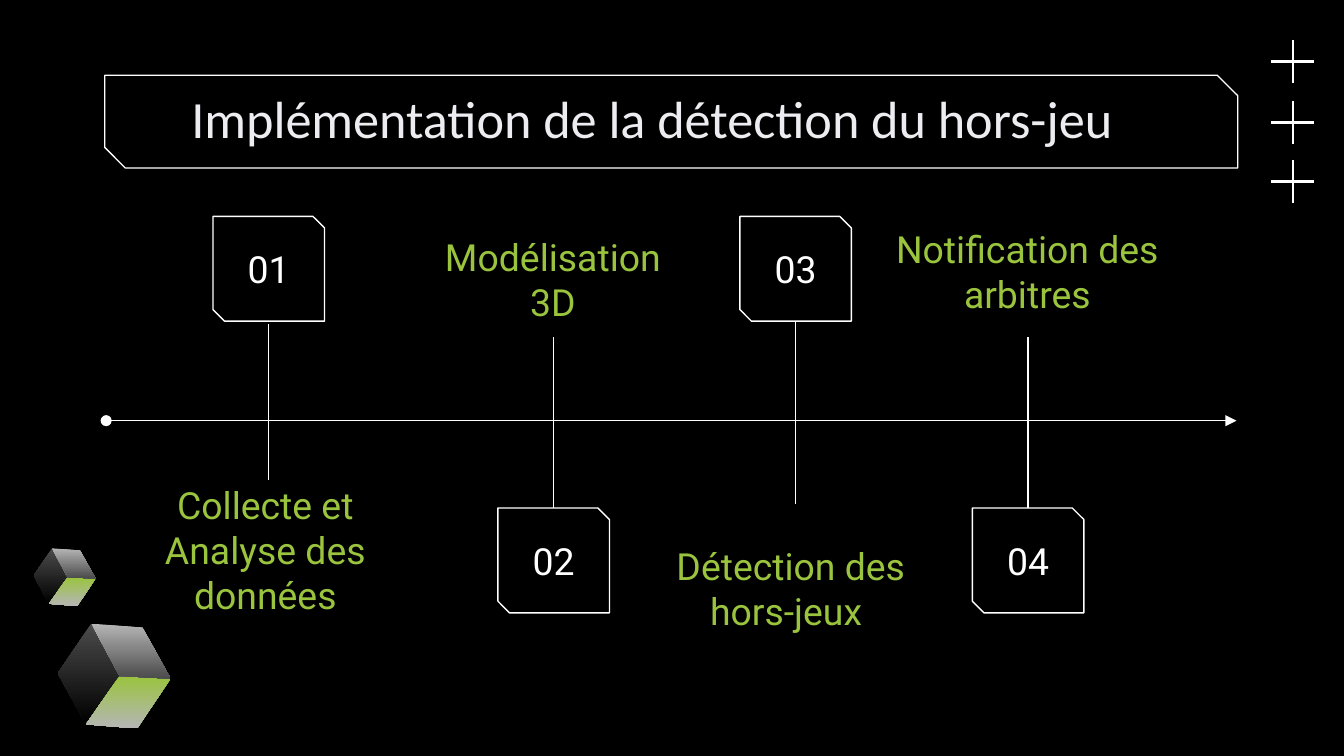
import pptx
import pptx.util
import pptx.dml.color
import pptx.enum.shapes
import pptx.enum.text
import pptx.oxml.ns
import lxml.etree

Inches = pptx.util.Inches
Pt = pptx.util.Pt
RGBColor = pptx.dml.color.RGBColor
Shape = pptx.enum.shapes.MSO_SHAPE
Align = pptx.enum.text.PP_ALIGN
Anchor = pptx.enum.text.MSO_ANCHOR

BLACK = RGBColor(0x00, 0x00, 0x00)
WHITE = RGBColor(0xFF, 0xFF, 0xFF)
PALE = RGBColor(0xEC, 0xEC, 0xF1)
GREEN = RGBColor(0x9A, 0xC4, 0x3E)
SILVER = RGBColor(0xB5, 0xB5, 0xB5)
CHARCOAL = RGBColor(0x4B, 0x4B, 0x4B)

TILE_WIDTH, TILE_HEIGHT = 0.83, 0.78
UPPER_ROW, LOWER_ROW = 1.61, 3.78
LABEL_WIDTH = 2.17
AXIS = 3.13

# number, column centre, tile row, line top and bottom, label, label left, top, height
STEPS = [
    ("01", 2.0, UPPER_ROW, 2.41, 3.57, "Collecte et Analyse des données", 0.89, 3.91, 0.78),
    ("02", 4.12, LOWER_ROW, 2.51, 3.78, "Modélisation 3D", 3.03, 2.08, 0.43),
    ("03", 5.92, UPPER_ROW, 2.39, 3.75, "Détection des hors-jeux ", 4.8, 4.38, 0.43),
    ("04", 7.65, LOWER_ROW, 2.51, 3.78, "Notification des arbitres", 6.56, 2.02, 0.43),
]

# Cube faces: corner offsets in inches at full scale, colours from top to bottom
CUBE_FACES = [
    ([(0.25, 0), (0, 0.37), (0.21, 0.75), (0.46, 0.39)], CHARCOAL, BLACK),
    ([(0.46, 0.39), (0.84, 0.41), (0.59, 0.78), (0.21, 0.75)], GREEN, SILVER),
    ([(0.25, 0), (0.63, 0.03), (0.84, 0.41), (0.46, 0.39)], SILVER, CHARCOAL),
]


def write_text(box, text, size, font, colour, anchor):
    frame = box.text_frame
    frame.word_wrap = True
    frame.auto_size = pptx.enum.text.MSO_AUTO_SIZE.NONE
    frame.vertical_anchor = anchor
    frame.margin_left = frame.margin_right = Inches(0.1)
    frame.margin_top = frame.margin_bottom = Inches(0.1)
    para = frame.paragraphs[0]
    para.alignment = Align.CENTER
    span = para.add_run()
    span.text = text
    span.font.size = Pt(size)
    span.font.name = font
    span.font.color.rgb = colour
    return para


def add_frame(page, left, top, width, height, snip):
    """Outlined box with two opposite corners cut."""
    frame = page.shapes.add_shape(
        Shape.SNIP_2_DIAG_RECTANGLE, Inches(left), Inches(top), Inches(width), Inches(height))
    frame.adjustments[0] = 0
    frame.adjustments[1] = snip
    frame.shadow.inherit = False
    frame.fill.background()
    frame.line.color.rgb = WHITE
    frame.line.width = Pt(0.75)
    return frame


def add_line(page, start, end, head=None, tail=None):
    line = page.shapes.add_connector(
        pptx.enum.shapes.MSO_CONNECTOR.STRAIGHT, *map(Inches, start + end))
    line.line.color.rgb = WHITE
    line.line.width = Pt(0.75)
    outline = line.line._get_or_add_ln()
    for tag, kind in (("a:headEnd", head), ("a:tailEnd", tail)):
        if kind:
            lxml.etree.SubElement(outline, pptx.oxml.ns.qn(tag), type=kind)
    lxml.etree.SubElement(line._element.spPr, pptx.oxml.ns.qn("a:effectLst"))


def add_title(page, text):
    add_frame(page, 0.78, 0.56, 8.43, 0.69, 0.221)
    title = page.shapes.title
    title.left, title.top, title.width, title.height = map(Inches, (0.6, 0.53, 8.5, 0.75))
    para = write_text(title, text, 28, "Calibri", PALE, Anchor.MIDDLE)
    para.line_spacing = 0.9


def add_polygon(group, left, top, corners, scale=1):
    points = [(Inches(left + x * scale), Inches(top + y * scale)) for x, y in corners]
    builder = group.shapes.build_freeform(*points[0])
    builder.add_line_segments(points[1:], close=True)
    polygon = builder.convert_to_shape()
    polygon.shadow.inherit = False
    polygon.line.fill.background()
    return polygon


def add_plus(group, left, top, arm=0.32, thickness=0.02):
    inset = (arm - thickness) / 2
    for x, y, width, height in ((0, inset, arm, thickness), (inset, 0, thickness, arm)):
        corners = [(0, 0), (0, height), (width, height), (width, 0)]
        bar = add_polygon(group, left + x, top + y, corners)
        bar.fill.solid()
        bar.fill.fore_color.rgb = WHITE


def add_cube(page, left, top, scale):
    group = page.shapes.add_group_shape()
    for corners, upper, lower in CUBE_FACES:
        face = add_polygon(group, left, top, corners, scale)
        face.fill.gradient()
        face.fill.gradient_angle = 270
        for stop, colour in zip(face.fill.gradient_stops, (upper, lower)):
            stop.color.rgb = colour


def add_step(page, number, centre, row, line_top, line_bottom, label, left, top, height):
    box = page.shapes.add_textbox(*map(Inches, (left, top, LABEL_WIDTH, height)))
    write_text(box, label, 20, "Roboto", GREEN, Anchor.BOTTOM)
    tile = add_frame(page, centre - TILE_WIDTH / 2, row, TILE_WIDTH, TILE_HEIGHT, 0.111)
    write_text(tile, number, 20, "Roboto", WHITE, Anchor.MIDDLE)
    add_line(page, (centre, line_bottom), (centre, line_top))


def main():
    deck = pptx.Presentation()
    deck.slide_width = Inches(10)
    deck.slide_height = deck.slide_width * 9 // 16
    page = deck.slides.add_slide(deck.slide_layouts.get_by_name("Title Only"))
    page.background.fill.solid()
    page.background.fill.fore_color.rgb = BLACK

    add_title(page, "Implémentation de la détection du hors-jeu")
    add_line(page, (0.79, AXIS), (9.2, AXIS), head="oval", tail="triangle")
    pluses = page.shapes.add_group_shape()
    for top in (0.3, 0.75, 1.19):
        add_plus(pluses, 9.46, top)
    add_cube(page, 0.43, 4.64, 1)
    add_cube(page, 0.25, 4.08, 0.55)
    for step in STEPS:
        add_step(page, *step)
    deck.save("out.pptx")


if __name__ == "__main__":
    main()
